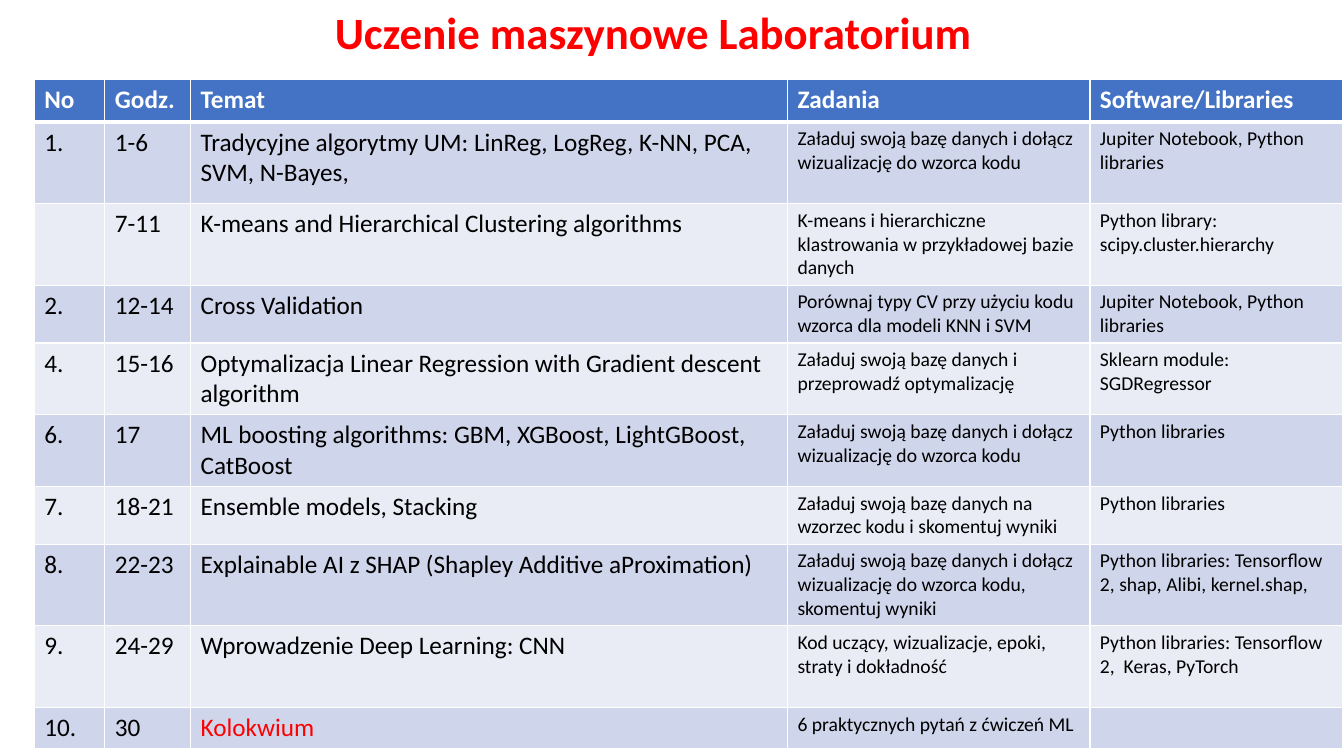
from dataclasses import dataclass

import pptx
import pptx.util
import pptx.dml.color
import pptx.enum.text
import pptx.oxml
import pptx.oxml.ns

Inches, Pt = pptx.util.Inches, pptx.util.Pt
RGB = pptx.dml.color.RGBColor.from_string


@dataclass(frozen=True)
class Theme:
    font: str = "Calibri"
    accent: str = "FF0000"
    header: str = "4472C4"
    bands: tuple = ("CFD5EA", "E9EBF5")
    light: str = "FFFFFF"
    dark: str = "000000"
    title_size: int = 32
    text_size: int = 18
    detail_size: int = 14
    line: int = 1
    header_line: int = 3


THEME = Theme()

HEADERS = ("No", "Godz.", "Temat", "Zadania", "Software/Libraries")
COL_WIDTHS = (0.7, 0.85, 5.92, 3, 2.51)
HEADER_HEIGHT = 0.42

# Row height, number, hours, topic, task, software
LABS = [
    (0.81, "1.", "1-6", "Tradycyjne algorytmy UM: LinReg, LogReg, K-NN, PCA, SVM, N-Bayes,",
     "Załaduj swoją bazę danych i dołącz wizualizację do wzorca kodu",
     "Jupiter Notebook, Python libraries"),
    (0.81, "", "7-11", "K-means and Hierarchical Clustering algorithms",
     "K-means i hierarchiczne klastrowania w przykładowej bazie danych",
     "Python library: scipy.cluster.hierarchy"),
    (0.57, "2.", "12-14", "Cross Validation",
     "Porównaj typy CV przy użyciu kodu wzorca dla modeli KNN i SVM",
     "Jupiter Notebook, Python libraries"),
    (0.71, "4.", "15-16", "Optymalizacja Linear Regression with Gradient descent algorithm",
     "Załaduj swoją bazę danych i przeprowadź optymalizację",
     "Sklearn module: SGDRegressor"),
    (0.71, "6.", "17", "ML boosting algorithms: GBM, XGBoost, LightGBoost, CatBoost",
     "Załaduj swoją bazę danych i dołącz wizualizację do wzorca kodu",
     "Python libraries"),
    (0.57, "7.", "18-21", "Ensemble models, Stacking",
     "Załaduj swoją bazę danych na wzorzec kodu i skomentuj wyniki",
     "Python libraries"),
    (0.81, "8.", "22-23", "Explainable AI z SHAP (Shapley Additive aProximation)",
     "Załaduj swoją bazę danych i dołącz wizualizację do wzorca kodu, skomentuj wyniki",
     "Python libraries: Tensorflow 2, shap, Alibi, kernel.shap,"),
    (0.81, "9.", "24-29", "Wprowadzenie Deep Learning: CNN",
     "Kod uczący, wizualizacje, epoki, straty i dokładność",
     "Python libraries: Tensorflow 2,  Keras, PyTorch"),
    (0.41, "10.", "30", "Kolokwium", "6 praktycznych pytań z ćwiczeń ML", ""),
]


def set_font(p, size, color, bold=False):
    p.font.name = THEME.font
    p.font.size = Pt(size)
    p.font.bold = bold
    p.font.color.rgb = RGB(color)


def set_borders(cell, top, bottom):
    tcPr = cell._tc.get_or_add_tcPr()
    widths = {"lnL": THEME.line, "lnR": THEME.line, "lnT": top, "lnB": bottom}
    for side, width in widths.items():
        tcPr.append(pptx.oxml.parse_xml(
            f'<a:{side} {pptx.oxml.ns.nsdecls("a")} w="{Pt(width)}"><a:solidFill>'
            f'<a:srgbClr val="{THEME.light}"/></a:solidFill></a:{side}>'))


def add_title(s, x, y, w, h):
    sp = s.shapes.title
    sp.left, sp.top, sp.width, sp.height = map(Inches, (x, y, w, h))
    tf = sp.text_frame
    tf.text = "Uczenie maszynowe Laboratorium"
    tf.word_wrap = True
    tf.auto_size = pptx.enum.text.MSO_AUTO_SIZE.NONE
    tf.vertical_anchor = pptx.enum.text.MSO_ANCHOR.TOP
    p = tf.paragraphs[0]
    p.alignment = pptx.enum.text.PP_ALIGN.LEFT
    set_font(p, THEME.title_size, THEME.accent, bold=True)


def add_schedule(s, x, y):
    rows = [(HEADER_HEIGHT, *HEADERS)] + LABS
    w, h = sum(COL_WIDTHS), sum(row[0] for row in rows)
    table = s.shapes.add_table(len(rows), len(COL_WIDTHS), *map(Inches, (x, y, w, h))).table
    for col, width in zip(table.columns, COL_WIDTHS):
        col.width = Inches(width)

    for i, (height, *texts) in enumerate(rows):
        table.rows[i].height = Inches(height)
        is_header = i == 0
        top = THEME.header_line if i == 1 else THEME.line
        bottom = THEME.header_line if is_header else THEME.line
        fill = THEME.header if is_header else THEME.bands[(i - 1) % 2]
        for j, text in enumerate(texts):
            cell = table.cell(i, j)
            set_borders(cell, top, bottom)
            cell.fill.solid()
            cell.fill.fore_color.rgb = RGB(fill)
            cell.text = text
            # Tasks and software are set smaller; the test stands out
            size = THEME.text_size if is_header or j < 3 else THEME.detail_size
            color = THEME.light if is_header else THEME.dark
            if text == "Kolokwium":
                color = THEME.accent
            set_font(cell.text_frame.paragraphs[0], size, color, bold=is_header)


def main():
    prs = pptx.Presentation()
    prs.slide_width, prs.slide_height = Inches(13.33), Inches(7.5)
    s = prs.slides.add_slide(prs.slide_layouts[5])
    add_schedule(s, 0.34, 0.79)
    add_title(s, 3.22, 0, 8.32, 0.64)
    prs.save("out.pptx")


if __name__ == "__main__":
    main()
